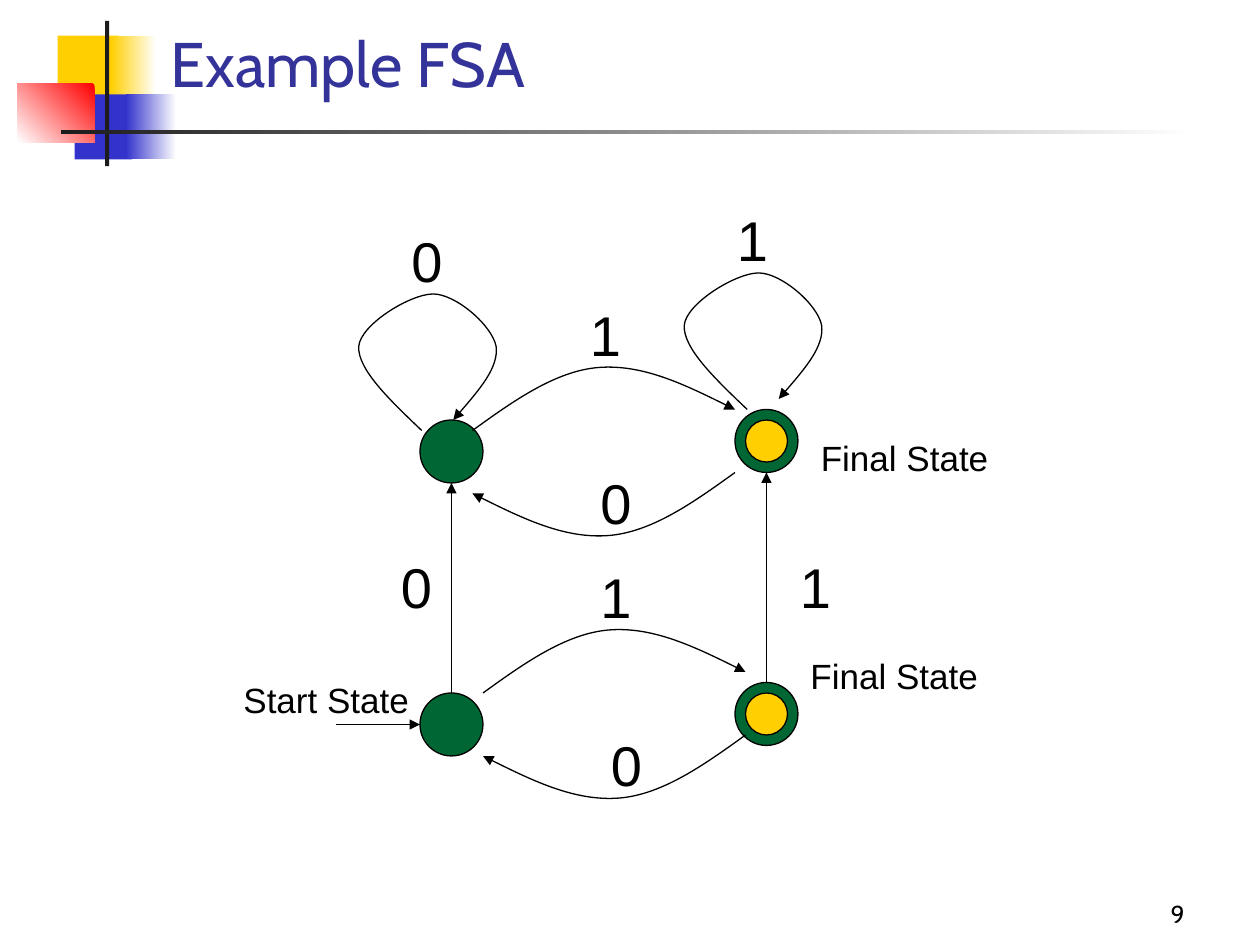
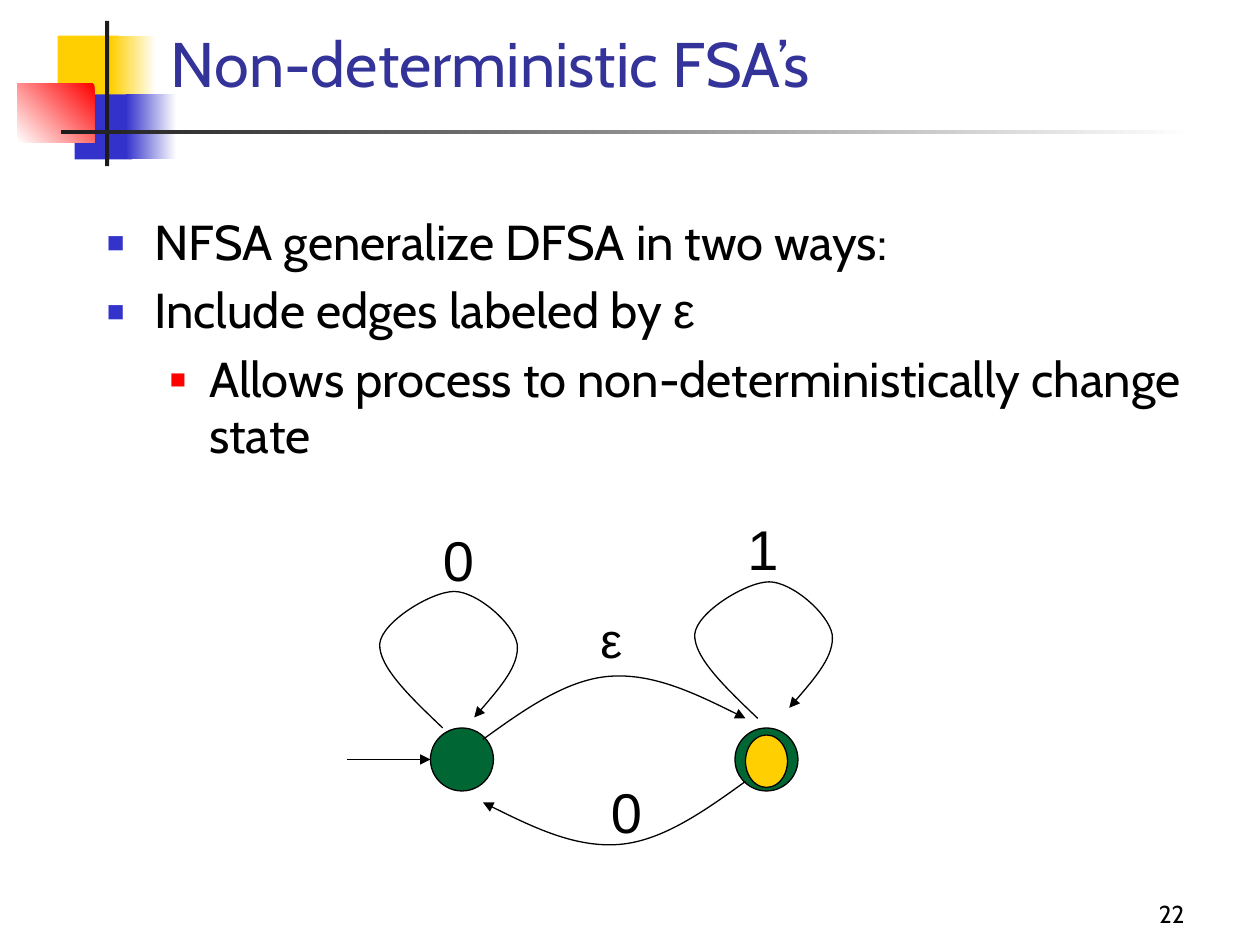
from pptx import Presentation
from pptx.dml.color import RGBColor
from pptx.enum.shapes import MSO_CONNECTOR, MSO_SHAPE
from pptx.enum.text import MSO_ANCHOR, PP_ALIGN
from pptx.oxml.ns import qn
from pptx.util import Pt
from lxml import etree

RECT, OVAL = MSO_SHAPE.RECTANGLE, MSO_SHAPE.OVAL
STRAIGHT = MSO_CONNECTOR.STRAIGHT
TOP, BOTTOM = MSO_ANCHOR.TOP, MSO_ANCHOR.BOTTOM
LEFT, RIGHT = PP_ALIGN.LEFT, PP_ALIGN.RIGHT

# Colours and fonts
BLACK, WHITE, DARK = "000000", "FFFFFF", "1C1C1C"
YELLOW, BLUE, RED, GREEN, TITLE = "FFCF01", "3333CC", "FF0000", "006633", "333399"
HEAD_FONT, LABEL_FONT = "Cabin", "Arial"

# Master band: left, top, width, height, fill (a pair is a gradient), angle
BAND = [
    (33, 20.4, 34.8, 37.2, YELLOW, 0),
    (63.4, 20.4, 25.8, 37.2, (WHITE, YELLOW), 180),
    (42.6, 54, 33, 37.2, BLUE, 0),
    (72, 54, 28.6, 37.2, (WHITE, BLUE), 180),
    (9.8, 48, 44.2, 33.2, (RED, WHITE), 225),
    (60, 12, 2.4, 83, DARK, 0),
    (34.8, 74.2, 648, 2.6, (WHITE, DARK), 180),
]

# Bezier points of the edges, as offsets from their start
ARC = [(23.5, -17), (47.5, -34), (72, -36), (97, -38), (124, -25), (150, -12)]
LOOP = [(-18.4, -17.5), (-36.7, -35), (-36, -48), (-35, -60.5), (-6.5, -78),
        (6.5, -78), (19.4, -78), (40.3, -60), (42.5, -48), (44, -36),
        (31, -21), (18, -6)]

# Bullet levels: left margin, hanging indent, colour, size in percent
BULLETS = [(27, 27, BLUE, 60), (58.5, 22.5, RED, 55)]


def rgb(hex_color):
    return RGBColor.from_string(hex_color)


def add_text(p, text, *, size, font=LABEL_FONT, color=BLACK):
    r = p.add_run()
    r.text = text
    r.font.size, r.font.name = Pt(size), font
    r.font.color.rgb = rgb(color)


def add_bullet(p, level):
    margin, hang, color, percent = BULLETS[level]
    p.level = level
    pPr = p._p.get_or_add_pPr()
    pPr.set("marL", str(Pt(margin)))
    pPr.set("indent", str(-Pt(hang)))
    clr = etree.SubElement(pPr, qn("a:buClr"))
    etree.SubElement(clr, qn("a:srgbClr"), val=color)
    etree.SubElement(pPr, qn("a:buSzPct"), val=str(percent * 1000))
    etree.SubElement(pPr, qn("a:buFont"), typeface=LABEL_FONT)
    etree.SubElement(pPr, qn("a:buChar"), char="■")


class Deck:
    def __init__(self):
        self.prs = Presentation()
        self.prs.slide_width, self.prs.slide_height = Pt(720), Pt(540)
        self.shapes = None

    def slide(self, title, number):
        self.shapes = self.prs.slides.add_slide(self.prs.slide_layouts[6]).shapes
        for x, y, w, h, fill, angle in BAND:
            self.shape(RECT, x, y, w, h, fill, angle=angle)
        self.text(number, 534, 498, 150, 36, size=14, font=HEAD_FONT,
                  anchor=BOTTOM, align=RIGHT)
        self.text(title, 90.6, 13, 613.4, 47.5, size=36, font=HEAD_FONT,
                  color=TITLE, anchor=BOTTOM)

    def shape(self, kind, x, y, w, h, fill, angle=0, line=None):
        s = self.shapes.add_shape(kind, Pt(x), Pt(y), Pt(w), Pt(h))
        s.shadow.inherit = False
        if isinstance(fill, tuple):
            s.fill.gradient()
            s.fill.gradient_angle = angle
            for stop, color in zip(s.fill.gradient_stops, fill):
                stop.color.rgb = rgb(color)
        else:
            s.fill.solid()
            s.fill.fore_color.rgb = rgb(fill)
        if line:
            s.line.color.rgb, s.line.width = rgb(line), Pt(0.75)
        else:
            s.line.fill.background()

    def box(self, x, y, w, h, anchor=TOP):
        tf = self.shapes.add_textbox(Pt(x), Pt(y), Pt(w), Pt(h)).text_frame
        tf.word_wrap, tf.vertical_anchor = True, anchor
        return tf

    def text(self, text, x, y, w, h, anchor=TOP, align=LEFT, **style):
        p = self.box(x, y, w, h, anchor).paragraphs[0]
        p.alignment = align
        add_text(p, text, **style)

    def label(self, text, x, y, w=30, size=32):
        self.text(text, x, y, w, 1.2 * size + 7.5, size=size)

    def bullets(self, items, x, y, w, h):
        tf = self.box(x, y, w, h)
        for i, (level, runs) in enumerate(items):
            p = tf.add_paragraph() if i else tf.paragraphs[0]
            add_bullet(p, level)
            p.line_spacing = 0.95
            p.space_before = Pt(7 if i else 0)
            for text, font in runs:
                add_text(p, text, size=28, font=font)

    def state(self, cx, cy, final_height=0):
        """A state circle; a final state has a yellow centre."""
        self.shape(OVAL, cx - 18, cy - 18, 36, 36, GREEN, line=BLACK)
        if final_height:
            top = cy - 12 if final_height == 24 else cy - 14
            self.shape(OVAL, cx - 12, top, 24, final_height, YELLOW, line=BLACK)

    def arrowhead(self, s):
        s.line.color.rgb, s.line.width = rgb(BLACK), Pt(0.75)
        ln = s._element.spPr.find(qn("a:ln"))
        etree.SubElement(ln, qn("a:tailEnd"), type="triangle")

    def arrow(self, x1, y1, x2, y2):
        s = self.shapes.add_connector(STRAIGHT, Pt(x1), Pt(y1), Pt(x2), Pt(y2))
        self.arrowhead(s)
        etree.SubElement(s._element.spPr, qn("a:effectLst"))

    def curve(self, offsets, x, y, sign=1):
        """A Bezier edge from (x, y); sign -1 turns it by half a circle."""
        builder = self.shapes.build_freeform(Pt(x), Pt(y))
        builder.add_line_segments(
            [(Pt(x + sign * dx), Pt(y + sign * dy)) for dx, dy in offsets],
            close=False)
        s = builder.convert_to_shape()
        s.shadow.inherit = False
        s.fill.background()
        self.arrowhead(s)
        # Every three points become one cubic segment
        lines = list(s._element.iter(qn("a:lnTo")))
        outline = lines[0].getparent()
        for i in range(0, len(lines), 3):
            cubic = etree.SubElement(outline, qn("a:cubicBezTo"))
            for line in lines[i:i + 3]:
                cubic.append(line[0])
                outline.remove(line)


def example_fsa(deck):
    deck.slide("Example FSA", "9")
    # States
    for cx, cy, final_height in [(438, 408, 24), (258, 414, 0),
                                 (258, 258, 0), (438, 252, 24)]:
        deck.state(cx, cy, final_height)
    # Edges
    deck.arrow(192, 414, 240, 414)
    deck.arrow(258, 396, 258, 276)
    deck.arrow(438, 390, 438, 270)
    for x, y, sign in [(276, 396, 1), (426, 420, -1),
                       (270, 246, 1), (420, 270, -1)]:
        deck.curve(ARC, x, y, sign)
    deck.curve(LOOP, 427, 234)
    deck.curve(LOOP, 241, 246)
    # Edge labels
    for text, x, y, w in [("0", 222, 312, 30), ("1", 450, 312, 36),
                          ("1", 336, 318, 30), ("0", 342, 414, 36),
                          ("1", 330, 168, 30), ("0", 336, 264, 36),
                          ("1", 414, 114, 30), ("0", 228, 126, 30)]:
        deck.label(text, x, y, w)
    # State labels
    for text, x, y, w in [("Start State", 132, 384, 120),
                          ("Final State", 456, 370.5, 132),
                          ("Final State", 462, 246, 114)]:
        deck.label(text, x, y, w, size=20)


def nondeterministic_fsa(deck):
    deck.slide("Non-deterministic FSA’s", "22")
    deck.bullets([
        (0, [("NFSA generalize DFSA in two ways:", HEAD_FONT)]),
        (0, [("Include edges labeled by ", HEAD_FONT), ("ε", LABEL_FONT)]),
        (1, [("Allows process to non-deterministically change state", HEAD_FONT)]),
    ], 54, 120, 636, 366)
    # States
    deck.state(264, 434)
    deck.state(438, 434, final_height=30)
    # Edges
    deck.arrow(198, 434, 246, 434)
    deck.curve(ARC, 276, 422.5)
    deck.curve(ARC, 426, 446.5, -1)
    deck.curve(LOOP, 433, 410.5)
    deck.curve(LOOP, 253, 416)
    # Edge labels
    deck.label("0", 246, 296.5, 36)
    deck.label("1", 420, 290.5)
    deck.label("ε", 336, 344.5, size=28)
    deck.label("0", 342, 440.5, 36)


def main():
    deck = Deck()
    example_fsa(deck)
    nondeterministic_fsa(deck)
    deck.prs.save("out.pptx")


if __name__ == "__main__":
    main()
